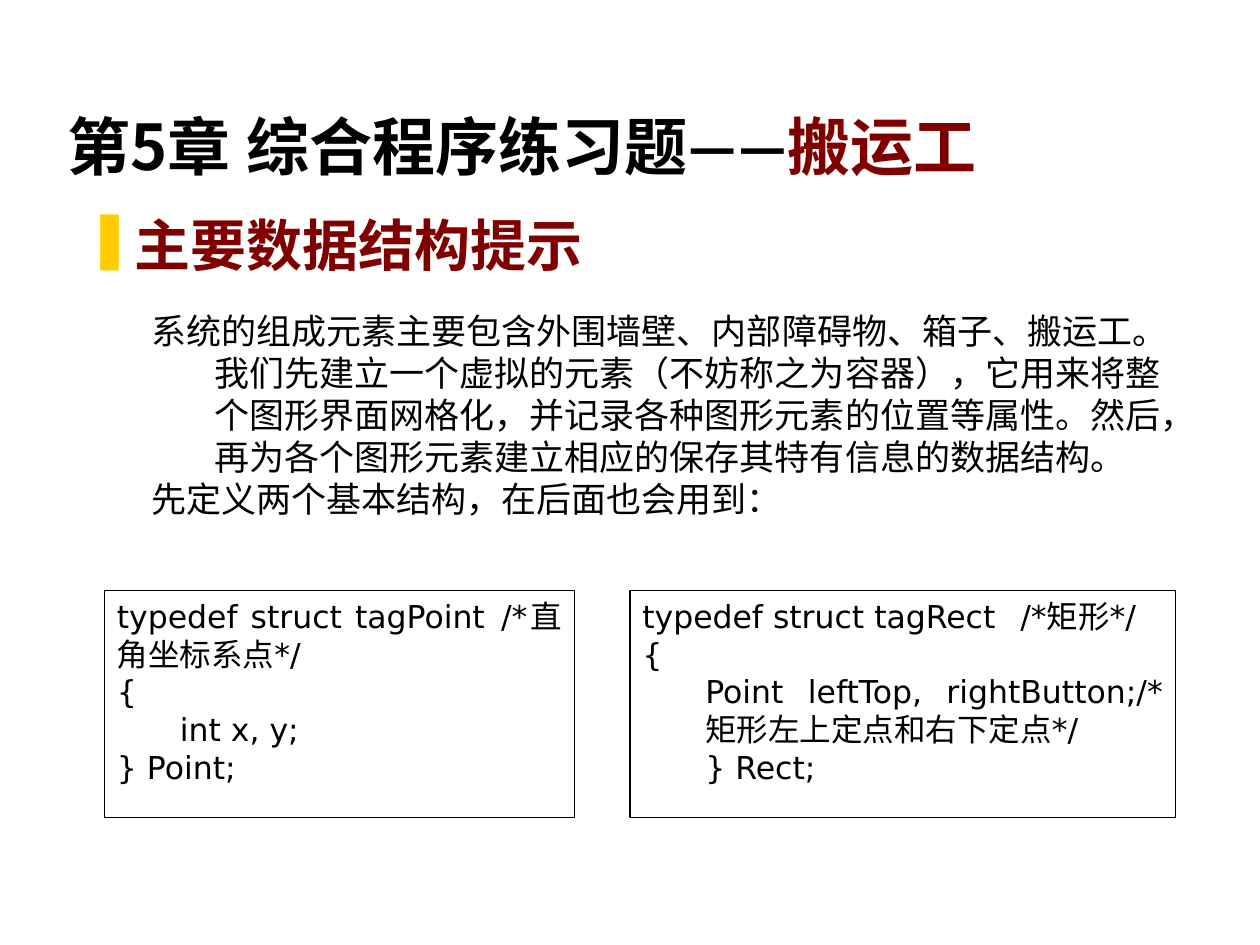
from dataclasses import dataclass

from lxml import etree
from pptx import Presentation
from pptx.dml.color import RGBColor
from pptx.enum.shapes import MSO_SHAPE
from pptx.enum.text import MSO_ANCHOR, PP_ALIGN
from pptx.oxml.ns import qn
from pptx.util import Inches, Pt

RECT = MSO_SHAPE.RECTANGLE
TOP, BOTTOM = MSO_ANCHOR.TOP, MSO_ANCHOR.BOTTOM
LEFT, JUSTIFY = PP_ALIGN.LEFT, PP_ALIGN.JUSTIFY
BLACK, WHITE, RED, GOLD = "000000", "FFFFFF", "800000", "FFCC00"
SANS, HEAD, BODY, CODE = "Noto Sans CJK SC", "Lato", "Times New Roman", "DejaVu Sans"
WIDE, HIGH = 10, 7.5


@dataclass
class Area:
    """A place on the slide, in percent of its width and height."""
    x: float
    y: float
    w: float
    h: float

    def box(self) -> list:
        return [Inches(part * size / 100) for part, size in
                zip((self.x, self.y, self.w, self.h), (WIDE, HIGH) * 2)]


@dataclass
class Line:
    text: str
    margin: float = 0


@dataclass
class Panel:
    area: Area
    lines: list[Line]


def color(code: str) -> RGBColor:
    return RGBColor.from_string(code)


def add_bullet(props, mark: str, code: str) -> None:
    tint = etree.SubElement(props, qn("a:buClr"))
    etree.SubElement(tint, qn("a:srgbClr"), val=code)
    etree.SubElement(props, qn("a:buChar"), char=mark)


def add_tabs(props) -> None:
    stops = etree.SubElement(props, qn("a:tabLst"))
    for inch in range(1, 8):
        etree.SubElement(stops, qn("a:tab"), pos=str(Inches(inch)), algn="l")


def add_text(frame, parts: list[tuple[str, str]], *, first=True, size=20,
             font=BODY, bold=False, align=LEFT, margin=0.0, indent=0.0,
             bullet="", tabs=False, pitch=None) -> None:
    """Write one paragraph from (text, colour) parts."""
    para = frame.paragraphs[0] if first else frame.add_paragraph()
    props = para._p.get_or_add_pPr()
    props.set("marL", str(Inches(margin)))
    props.set("indent", str(Inches(indent)))
    if bullet:
        add_bullet(props, bullet, GOLD)
    if tabs:
        add_tabs(props)
    para.alignment = align
    if pitch:
        para.line_spacing = Pt(pitch)
    for text, code in parts:
        run = para.add_run()
        run.text = text
        run.font.size, run.font.bold, run.font.name = Pt(size), bold, font
        run.font.color.rgb = color(code)
        east = etree.Element(qn("a:ea"), typeface=HEAD)
        run._r.rPr.find(qn("a:latin")).addnext(east)


def add_box(slide, area: Area, anchor=TOP):
    frame = slide.shapes.add_textbox(*area.box()).text_frame
    frame.word_wrap = True
    frame.vertical_anchor = anchor
    return frame


def add_panel(slide, panel: Panel) -> None:
    shape = slide.shapes.add_shape(RECT, *panel.area.box())
    shape.shadow.inherit = False
    shape.fill.solid()
    shape.fill.fore_color.rgb = color(WHITE)
    shape.line.color.rgb = color(BLACK)
    shape.line.width = Pt(0.75)
    frame = shape.text_frame
    frame.word_wrap = True
    frame.vertical_anchor = TOP
    for row, line in enumerate(panel.lines):
        add_text(frame, [(line.text, BLACK)], first=row == 0, size=18, font=CODE,
                 align=JUSTIFY, margin=line.margin, tabs=True, pitch=21.6)


PROSE = [
    "系统的组成元素主要包含外围墙壁、内部障碍物、箱子、搬运工。我们先建立一个虚拟的元素"
    "（不妨称之为容器），它用来将整个图形界面网格化，并记录各种图形元素的位置等属性。"
    "然后，再为各个图形元素建立相应的保存其特有信息的数据结构。",
    "先定义两个基本结构，在后面也会用到：",
]
PANELS = [
    Panel(Area(50, 62.5, 43.3, 24), [
        Line("typedef struct tagRect\t/*矩形*/"),
        Line("{"),
        Line("Point leftTop, rightButton;/*矩形左上定点和右下定点*/", 0.5),
        Line("} Rect;", 0.5),
    ]),
    Panel(Area(8.3, 62.5, 37.3, 24), [
        Line("typedef struct tagPoint\t/*直角坐标系点*/"),
        Line("{"),
        Line("\tint x, y;"),
        Line("} Point;"),
    ]),
]


def main() -> None:
    deck = Presentation()
    deck.slide_width, deck.slide_height = Inches(WIDE), Inches(HIGH)
    slide = deck.slides.add_slide(deck.slide_layouts[6])

    # Chapter title
    title = add_box(slide, Area(4.4, 3.33, 85, 16.67), BOTTOM)
    add_text(title, [("第5章 综合程序练习题——", BLACK), ("搬运工", RED)],
             size=36, font=SANS, bold=True)

    # Section heading
    head = add_box(slide, Area(5.9, 21.6, 88.3, 9.2))
    add_text(head, [("主要数据结构提示", RED)], size=32, font=HEAD, bold=True,
             align=JUSTIFY, margin=0.38, indent=-0.38, bullet="❚")

    # Prose with hanging lines
    prose = add_box(slide, Area(5.9, 32.13, 89.8, 50.27))
    for row, text in enumerate(PROSE):
        add_text(prose, [(text, BLACK)], first=row == 0, margin=1.01, indent=-0.5)

    # Code panels
    for panel in PANELS:
        add_panel(slide, panel)

    deck.save("out.pptx")


if __name__ == "__main__":
    main()
